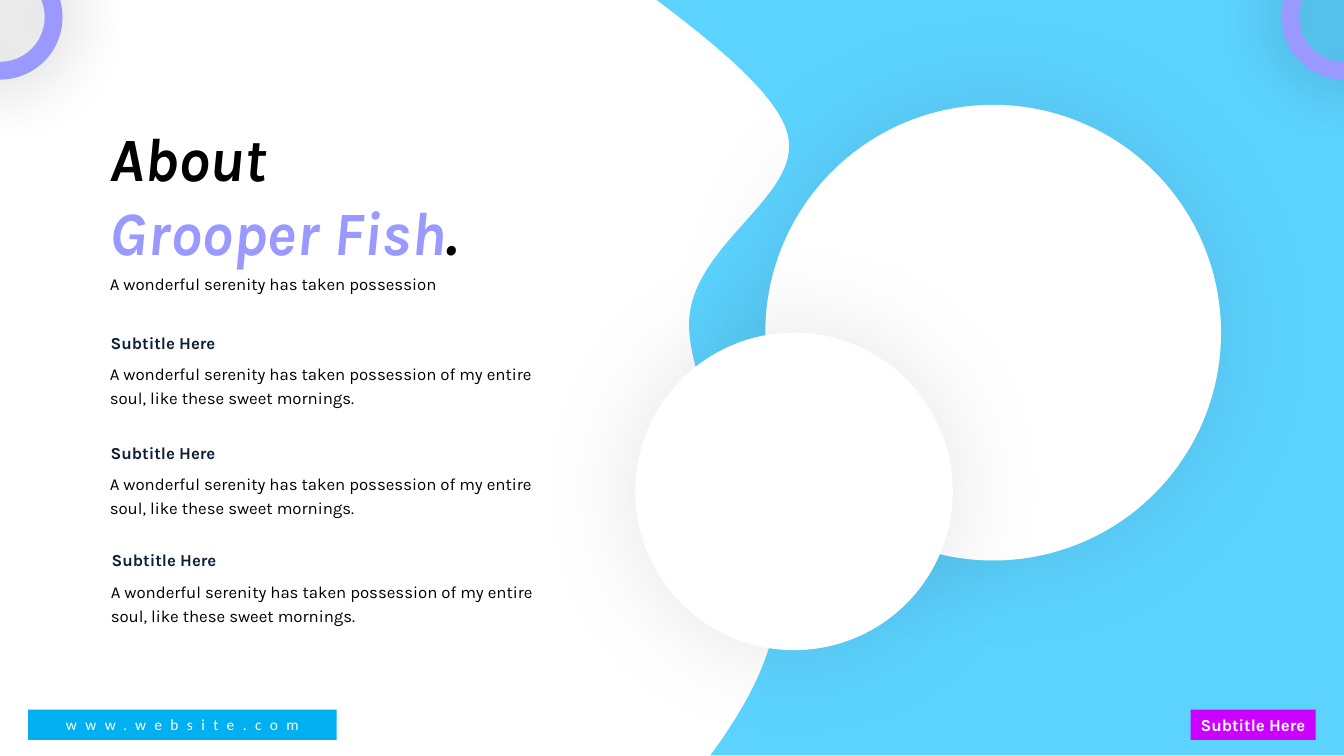
import pptx
import pptx.dml.color
import pptx.enum.shapes
import pptx.enum.text
import pptx.util
from lxml import etree
from pptx.oxml.ns import qn

RGBColor = pptx.dml.color.RGBColor
MSO_SHAPE = pptx.enum.shapes.MSO_SHAPE
PP_ALIGN = pptx.enum.text.PP_ALIGN
MSO_ANCHOR = pptx.enum.text.MSO_ANCHOR
MSO_AUTO_SIZE = pptx.enum.text.MSO_AUTO_SIZE

PX = 9144  # EMU per px, 100 px to the inch
SLIDE_WIDTH, SLIDE_HEIGHT = 1333, 750

WHITE = RGBColor(0xFF, 0xFF, 0xFF)
BLACK = RGBColor(0x00, 0x00, 0x00)
NAVY = RGBColor(0x0C, 0x20, 0x36)
SKY = RGBColor(0x5C, 0xD3, 0xFF)
BLUE = RGBColor(0x00, 0xB0, 0xF0)
LILAC = RGBColor(0x99, 0x99, 0xFF)
MAGENTA = RGBColor(0xCC, 0x00, 0xFF)

BODY = "A wonderful serenity has taken possession of my entire soul, like these sweet mornings."
SUBTITLE = "Subtitle Here"

# Wave outline on the slide: straight corners, cubic segments, straight corners
WAVE_TOP = [(1161, 0), (650, 0), (653, 2)]
WAVE_CURVES = [
    ((704, 41), (772, 94), (781, 135)),
    ((795, 195), (685, 243), (683, 320)),
    ((681, 397), (771, 519), (770, 598)),
    ((769, 647), (741, 697), (714, 736)),
]
WAVE_BOTTOM = [(704, 750), (879, 750), (1333, 750), (1333, 0)]
WAVE_LEFT, WAVE_FRAME_TOP = 617, 33  # frame before its quarter turn


def box(left, top, width, height):
    return [value * PX for value in (left, top, width, height)]


def style_shape(shape, color):
    shape.shadow.inherit = False
    shape.fill.solid()
    shape.fill.fore_color.rgb = color
    shape.line.fill.background()


def add_soft_shadow(shape, blur, opacity):
    effects = shape.element.spPr.find(qn("a:effectLst"))
    shadow = etree.SubElement(effects, qn("a:outerShdw"), blurRad=str(pptx.util.Pt(blur)),
                              dist="0", dir="0", algn="ctr", rotWithShape="0")
    color = etree.SubElement(shadow, qn("a:srgbClr"), val="000000")
    etree.SubElement(color, qn("a:alpha"), val=str(opacity * 1000))


def add_preset(slide, kind, position, color, adjustment=None):
    shape = slide.shapes.add_shape(kind, *box(*position))
    style_shape(shape, color)
    if adjustment is not None:
        shape.adjustments[0] = adjustment
    return shape


def write_text(shape, paragraphs, *, size=12, font="Karla", bold=False, italic=False,
               align=PP_ALIGN.LEFT, anchor=MSO_ANCHOR.TOP, line_spacing=None,
               letter_spacing=None, wrap=True, grow=True):
    """Fill a shape with paragraphs, each a list of (text, color) runs."""
    frame = shape.text_frame
    frame.word_wrap = wrap
    frame.vertical_anchor = anchor
    frame.auto_size = MSO_AUTO_SIZE.SHAPE_TO_FIT_TEXT if grow else MSO_AUTO_SIZE.NONE
    for index, runs in enumerate(paragraphs):
        paragraph = frame.paragraphs[0] if index == 0 else frame.add_paragraph()
        paragraph.alignment = align
        if line_spacing:
            paragraph.line_spacing = line_spacing
        for text, color in runs:
            run = paragraph.add_run()
            run.text = text
            run.font.name = font
            run.font.size = pptx.util.Pt(size)
            run.font.bold = bold
            run.font.italic = italic
            run.font.color.rgb = color
            if letter_spacing:
                run.font._element.set("spc", str(letter_spacing * 100))


def add_text(slide, position, paragraphs, **text_format):
    write_text(slide.shapes.add_textbox(*box(*position)), paragraphs, **text_format)


def turn_back(point):
    """Slide point to its place in the frame, which is drawn turned by 270 degrees."""
    x, y = point
    return WAVE_LEFT + SLIDE_HEIGHT - y, x - WAVE_LEFT


def add_wave(slide):
    anchors = WAVE_TOP + [curve[-1] for curve in WAVE_CURVES] + WAVE_BOTTOM
    start, *others = [turn_back(point) for point in anchors]
    builder = slide.shapes.build_freeform(*start, scale=PX)
    builder.add_line_segments(others, close=True)
    wave = builder.convert_to_shape()

    # Bend the straight pieces that belong to the curves
    lines = list(wave.element.iter(qn("a:lnTo")))[len(WAVE_TOP) - 1:]
    for line, curve in zip(lines, WAVE_CURVES):
        line.tag = qn("a:cubicBezTo")
        line.remove(line[0])
        for x, y in map(turn_back, curve):
            etree.SubElement(line, qn("a:pt"), x=str(x - WAVE_LEFT), y=str(y - WAVE_FRAME_TOP))

    wave.rotation = 270
    style_shape(wave, SKY)


def add_section(slide, left, body_top, subtitle_top):
    add_text(slide, (left, body_top, 441, 56), [[(BODY, BLACK)]], line_spacing=1.2)
    add_text(slide, (left + 1, subtitle_top, 126, 34), [[(SUBTITLE, NAVY)]],
             bold=True, line_spacing=1.3)


def main():
    presentation = pptx.Presentation()
    presentation.slide_width = SLIDE_WIDTH * PX
    presentation.slide_height = SLIDE_HEIGHT * PX
    slide = presentation.slides.add_slide(presentation.slide_layouts[6])

    # Wave and white discs
    add_wave(slide)
    for left, top, diameter in [(759, 104, 452), (630, 330, 315)]:
        disc = add_preset(slide, MSO_SHAPE.OVAL, (left, top, diameter, diameter), WHITE)
        add_soft_shadow(disc, blur=77, opacity=9)

    # Heading
    add_text(slide, (99, 257, 442, 37),
             [[("A wonderful serenity has taken possession", BLACK)]], line_spacing=1.5)
    add_text(slide, (99, 114, 522, 158),
             [[("About", BLACK)], [("Grooper Fish", LILAC), (".", BLACK)]],
             size=44, bold=True, italic=True)

    # Sections
    for left, body_top, subtitle_top in [(99, 352, 319), (99, 461, 428), (100, 568, 534)]:
        add_section(slide, left, body_top, subtitle_top)

    # Footer
    tag = add_preset(slide, MSO_SHAPE.RECTANGLE, (1181, 704, 124, 30), MAGENTA)
    write_text(tag, [[(SUBTITLE, WHITE)]], bold=True, wrap=False)
    website = add_preset(slide, MSO_SHAPE.ROUNDED_RECTANGLE, (28, 704, 306, 30), BLUE, 0)
    write_text(website, [[("www.website.com", WHITE)]], size=11, font="Calibri",
               align=PP_ALIGN.CENTER, anchor=MSO_ANCHOR.MIDDLE, letter_spacing=6, grow=False)

    # Corner rings
    for left in (-62, SLIDE_WIDTH - 62):
        ring = add_preset(slide, MSO_SHAPE.DONUT, (left, -45, 124, 124), LILAC, 0.142)
        add_soft_shadow(ring, blur=49, opacity=33)

    presentation.save("out.pptx")


if __name__ == "__main__":
    main()
